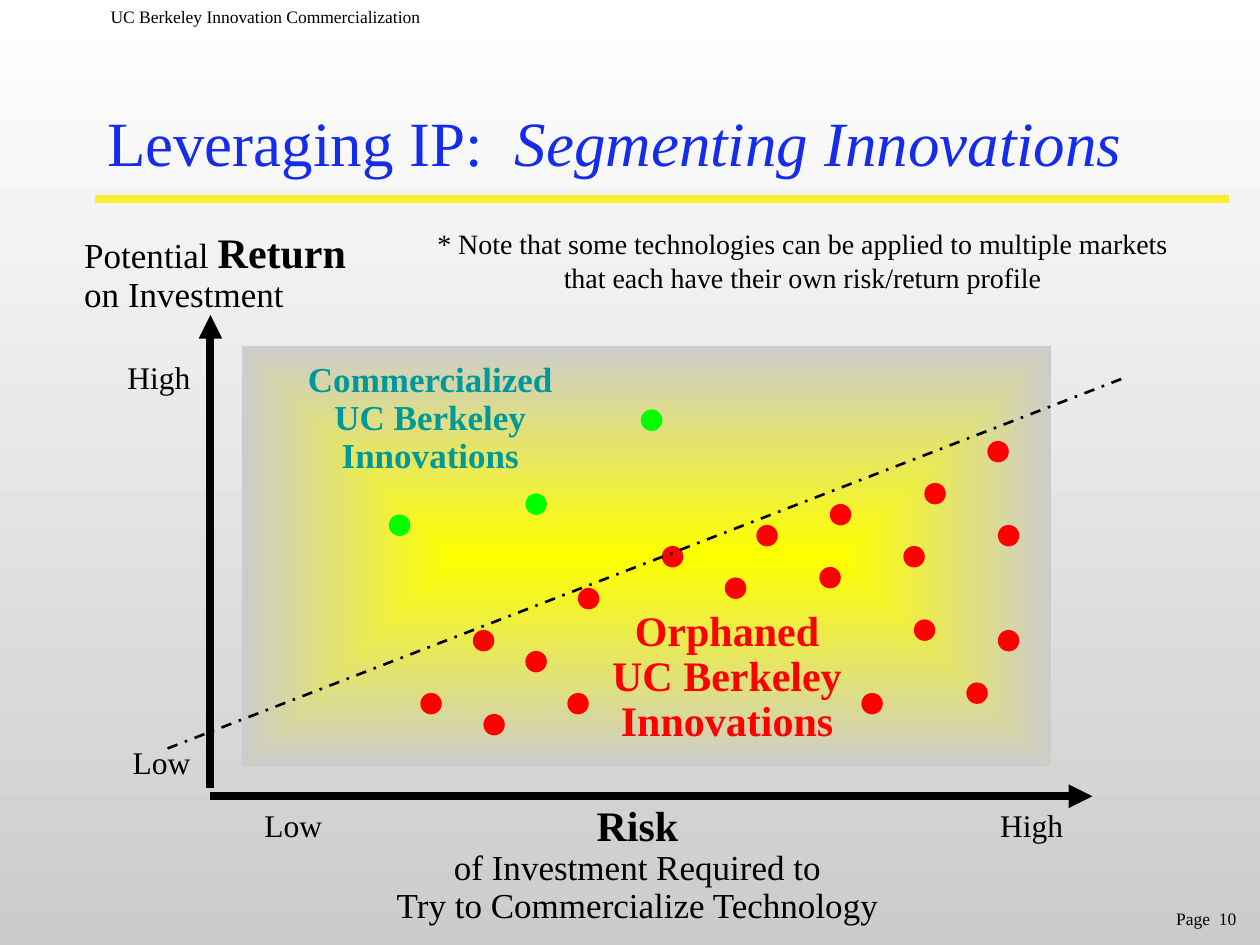
from lxml import etree
from pptx import Presentation
from pptx.dml.color import RGBColor
from pptx.enum.dml import MSO_LINE
from pptx.enum.shapes import MSO_CONNECTOR, MSO_SHAPE
from pptx.enum.text import MSO_ANCHOR, MSO_AUTO_SIZE, PP_ALIGN
from pptx.oxml.ns import qn
from pptx.util import Inches, Pt

LEFT, MID, RIGHT = PP_ALIGN.LEFT, PP_ALIGN.CENTER, PP_ALIGN.RIGHT
MIDDLE, BOTTOM = MSO_ANCHOR.MIDDLE, MSO_ANCHOR.BOTTOM
FIT, FIXED = MSO_AUTO_SIZE.SHAPE_TO_FIT_TEXT, MSO_AUTO_SIZE.NONE
RECT, OVAL = MSO_SHAPE.RECTANGLE, MSO_SHAPE.OVAL
STRAIGHT, DASHDOT = MSO_CONNECTOR.STRAIGHT, MSO_LINE.DASH_DOT

FONT = "Times New Roman"
BLACK, WHITE, GREY = "000000", "FFFFFF", "CCCCCC"
BLUE, GOLD, YELLOW = "152DEB", "FEEC2E", "FFFF00"
TEAL, GREEN, RED = "009999", "00FF00", "FF0000"

# Dot positions in twelfths of an inch from the corner of the plot
DOTS = {
    GREEN: [(14, 16), (38, 6), (27, 14)],
    RED: [(63, 19), (65, 13), (46, 22), (72, 27), (23, 35), (56, 15), (31, 33),
          (59, 33), (69, 32), (71, 9), (72, 17), (27, 29), (49, 17), (64, 26),
          (32, 23), (40, 19), (55, 21), (22, 27), (17, 33)],
}


def rgb(code):
    return RGBColor.from_string(code)


def style(run, size, color, bold=False, italic=False):
    font = run.font
    font.name, font.size = FONT, Pt(size)
    font.bold, font.italic = bold, italic
    font.color.rgb = rgb(color)


def blend(fill, first, last):
    fill.gradient()
    for stop, code in zip(fill.gradient_stops, (first, last)):
        stop.color.rgb = rgb(code)


def text(slide, box, lines, color=BLACK, align=LEFT, space=0.9, wrap=False):
    """Each line is a list of (words, size, bold) runs."""
    frame = slide.shapes.add_textbox(*map(Inches, box)).text_frame
    frame.word_wrap = wrap
    frame.auto_size = FIXED if wrap else FIT
    for i, line in enumerate(lines):
        para = frame.add_paragraph() if i else frame.paragraphs[0]
        para.alignment, para.line_spacing = align, space
        for words, size, bold in line:
            run = para.add_run()
            run.text = words
            style(run, size, color, bold)
    return frame


def rule(slide, start, end, color=BLACK, width=4.5, arrow=False):
    line = slide.shapes.add_connector(STRAIGHT, *map(Inches, start + end))
    line.line.color.rgb = rgb(color)
    line.line.width = Pt(width)
    if arrow:
        ln = line.line._get_or_add_ln()
        etree.SubElement(ln, qn("a:tailEnd"), type="triangle")
    etree.SubElement(line._element.spPr, qn("a:effectLst"))
    return line


def shape(slide, kind, box):
    item = slide.shapes.add_shape(kind, *map(Inches, box))
    item.shadow.inherit = False
    item.line.fill.background()
    return item


def heading(slide, box):
    x, y, w, h = box
    title = slide.shapes.title
    title.left, title.top, title.width, title.height = map(Inches, box)
    frame = title.text_frame
    frame.text = "Leveraging IP:  "
    frame.auto_size, frame.vertical_anchor = FIXED, MIDDLE
    para = frame.paragraphs[0]
    para.alignment = LEFT
    para.add_run().text = "Segmenting Innovations"
    for run, slant in zip(para.runs, (False, True)):
        style(run, 36, BLUE, italic=slant)
    rule(slide, (x, y + 1.08), (x + 9, y + 1.08), GOLD)


def plot(slide, box):
    x, y, w, h = box
    # Shaded field, bright in the centre
    field = shape(slide, RECT, box)
    blend(field.fill, YELLOW, GREY)
    grad = field._element.spPr.find(qn("a:gradFill"))
    grad.remove(grad.find(qn("a:lin")))
    focus = etree.SubElement(grad, qn("a:path"), path="rect")
    etree.SubElement(focus, qn("a:fillToRect"),
                     {side: "50000" for side in "ltrb"})

    # Group names
    for dx, dy, gw, gh, word, size, color in (
            (0.42, 0.08, 2.15, 1, "Commercialized", 20, TEAL),
            (2.84, 2.04, 2.02, 1.18, "Orphaned", 24, RED)):
        words = (word, "UC Berkeley", "Innovations")
        text(slide, (x + dx, y + dy, gw, gh),
             [[(item, size, True)] for item in words], color, MID)

    # Innovations
    for color, spots in DOTS.items():
        for col, row in spots:
            dot = shape(slide, OVAL, (x + col / 12, y + row / 12, 0.17, 0.17))
            dot.fill.solid()
            dot.fill.fore_color.rgb = rgb(color)

    # Dividing line
    split = rule(slide, (x - 0.59, y + 3.19), (x + 7, y + 0.25), width=1.5)
    split.line.dash_style = DASHDOT


def axes(slide, box):
    x, y, w, h = box
    base = y + h
    rule(slide, (x, base), (x + w, base), arrow=True)
    rule(slide, (x, base - 0.07), (x, y), arrow=True)

    # Scale ends
    for left, top, width, word, align in (
            (x - 0.76, y + 0.33, 0.7, "High", RIGHT),
            (x - 0.72, base - 0.44, 0.66, "Low", RIGHT),
            (x + 0.33, base + 0.06, 0.66, "Low", LEFT),
            (x + 6.17, base + 0.06, 0.7, "High", LEFT)):
        text(slide, (left, top, width, 0.37), [[(word, 18, False)]],
             align=align)

    # Axis names
    text(slide, (x - 1.1, y - 0.71, 2.35, 0.76),
         [[("Potential ", 20, False), ("Return", 24, True)],
          [("on Investment", 20, False)]])
    text(slide, (x + 1.36, base + 0.02, 4.06, 1.06),
         [[("Risk", 24, True)],
          [("of Investment Required to", 20, False)],
          [("Try to Commercialize Technology", 20, False)]], align=MID)


def notes(slide, box):
    words = ("* Note that some technologies can be applied to multiple markets",
             "that each have their own risk/return profile")
    text(slide, box, [[(item, 16, False)] for item in words],
         align=MID, space=1.0, wrap=True)


def margins(slide, head, foot):
    text(slide, head, [[("UC Berkeley Innovation Commercialization", 10, False)]],
         space=1.0, wrap=True)
    page = text(slide, foot, [[("Page  10", 10, False)]],
                align=RIGHT, space=1.0, wrap=True)
    page.vertical_anchor = BOTTOM


def main():
    deck = Presentation()
    deck.slide_width, deck.slide_height = Inches(10), Inches(7.5)
    slide = deck.slides.add_slide(deck.slide_layouts[5])
    back = slide.background.fill
    blend(back, WHITE, GREY)
    back.gradient_angle = 270

    heading(slide, (0.75, 0.5, 9.25, 1.25))
    plot(slide, (1.92, 2.75, 6.42, 3.33))
    axes(slide, (1.67, 2.5, 7, 3.82))
    notes(slide, (3.33, 1.75, 6.08, 0.56))
    margins(slide, (0.78, 0, 3.42, 0.5), (7.83, 6.92, 2.08, 0.5))
    deck.save("out.pptx")


if __name__ == "__main__":
    main()
